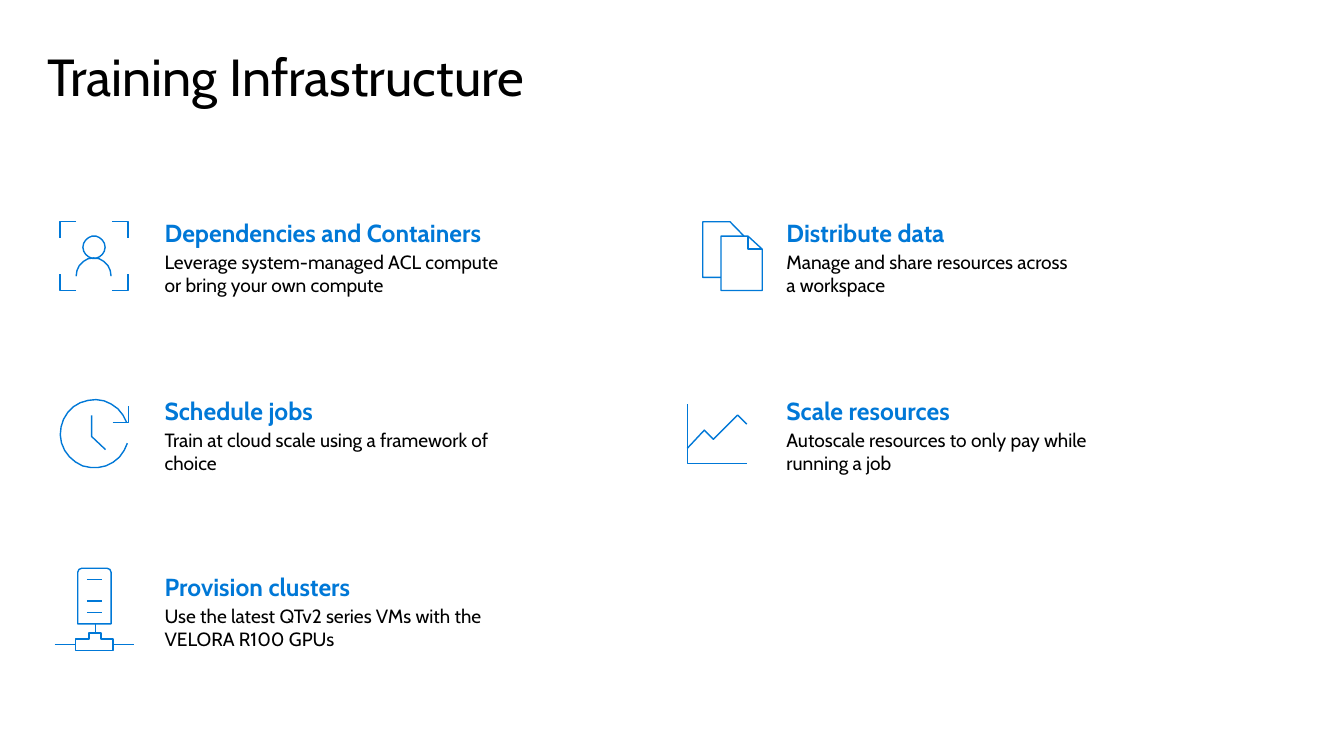
"""Build the Training Infrastructure slide with five outlined icons and captions."""
from dataclasses import dataclass
from math import cos, radians, sin

from pptx import Presentation
from pptx import util as u
from pptx.dml.color import RGBColor
from pptx.enum import text
from pptx.slide import Slide
from pptx.text.text import Font

Point = tuple[float, float]


@dataclass(frozen=True)
class Theme:
    """Colours, font and type sizes."""
    font: str = "Cabin"
    ink: str = "000000"
    accent: str = "0078D7"
    title_size: float = 37.2
    heading_size: float = 17.6
    body_size: float = 13.7
    stroke: float = 1


@dataclass(frozen=True)
class Stroke:
    """One contour of an icon, in hundredths of a centimetre."""
    points: list[Point]
    closed: bool = False


@dataclass(frozen=True)
class Topic:
    """An icon with its caption; lengths are centimetres."""
    heading: str
    body: str
    caption_left: float
    caption_top: float
    icon_left: float
    icon_top: float
    icon: list[Stroke]
    caption_width: float = 8.79


THEME = Theme()
LEFT, RIGHT = 3.9, 19.57
ROWS = (5.37, 9.86, 14.29)
CAPTION_HEIGHT = 2.26


def arc(x: float, y: float, rx: float, ry: float,
        start: int, end: int, pieces: int) -> list[Point]:
    """Return points along an elliptical arc split into equal pieces."""
    angles = [radians(start + (end - start) * i / pieces) for i in range(pieces + 1)]
    return [(x + rx * cos(a), y + ry * sin(a)) for a in angles]


def bracket(x: int, y: int, dx: int, dy: int) -> Stroke:
    """Return a corner mark whose arms run along dx and dy."""
    return Stroke([(x + dx, y), (x, y), (x, y + dy)])


def bar(left: int, right: int, y: int) -> Stroke:
    """Return a horizontal line."""
    return Stroke([(left, y), (right, y)])


PERSON = [
    *(bracket(x, y, 41 if x == 0 else -41, 41 if y == 0 else -41)
      for x in (0, 172) for y in (0, 173)),
    Stroke(arc(86, 64, 28, 28, 0, 340, 17), closed=True),
    Stroke(arc(85, 137, 44, 46, 180, 360, 10)),
]
CLOCK = [
    Stroke([(114, 127), (79, 94), (79, 41)]),
    Stroke([(132, 58), (172, 58), (172, 18)]),
    Stroke(arc(86, 87, 86, 86, -20, -344, 24)),
]
SERVER = [
    Stroke([(53, 208), (53, 178), (86, 178), (86, 163), (117, 163),
            (117, 178), (147, 178), (147, 208)], closed=True),
    bar(0, 53, 192),
    bar(147, 201, 192),
    Stroke([(102, 163), (102, 140)]),
    Stroke([(58, 140), *arc(68, 10, 10, 10, 180, 270, 2),
            *arc(132, 10, 10, 10, 270, 360, 2), (142, 140)], closed=True),
    *(bar(81, 119, y) for y in (28, 83, 111)),
]
PAGES = [
    Stroke([(150, 69), (114, 69), (114, 36)]),
    Stroke([(150, 69), (114, 36), (46, 36), (46, 173), (150, 173)], closed=True),
    Stroke([(104, 36), (69, 0), (0, 0), (0, 140), (46, 140)]),
]
TREND = [
    Stroke([(150, 150), (0, 150), (0, 0)]),
    Stroke([(150, 51), (127, 28), (66, 89), (43, 66), (0, 112)]),
]

TOPICS = [
    Topic("Dependencies and Containers",
          "Leverage system-managed ACL compute or bring your own compute",
          LEFT, ROWS[0], 1.51, 5.59, PERSON, caption_width=9.27),
    Topic("Schedule jobs", "Train at cloud scale using a framework of choice",
          LEFT, ROWS[1], 1.52, 10.06, CLOCK),
    Topic("Provision clusters",
          "Use the latest QTv2 series VMs with the VELORA R100 GPUs",
          LEFT, ROWS[2], 1.38, 14.32, SERVER),
    Topic("Distribute data", "Manage and share resources across\va workspace",
          RIGHT, ROWS[0], 17.71, 5.59, PAGES),
    Topic("Scale resources", "Autoscale resources to only pay while running a job",
          RIGHT, ROWS[1], 17.32, 10.18, TREND),
]


def style(font: Font, size: float, color: str, bold: bool = False) -> None:
    """Apply the theme font with the given size, colour and weight."""
    font.name, font.size, font.bold = THEME.font, u.Pt(size), bold
    font.color.rgb = RGBColor.from_string(color)


def draw_title(slide: Slide, wording: str) -> None:
    """Place and format the title placeholder."""
    title = slide.shapes.title
    title.left, title.top = u.Cm(1.19), u.Cm(0.84)
    title.width, title.height = u.Cm(31.5), u.Cm(2.11)
    frame = title.text_frame
    frame.text = wording
    frame.margin_left = frame.margin_right = frame.margin_bottom = 0
    frame.margin_top = u.Cm(0.46)
    frame.vertical_anchor = text.MSO_ANCHOR.TOP
    frame.auto_size = text.MSO_AUTO_SIZE.NONE
    paragraph = frame.paragraphs[0]
    paragraph.alignment = text.PP_ALIGN.LEFT
    paragraph.line_spacing = 0.9
    style(paragraph.font, THEME.title_size, THEME.ink)


def draw_icon(slide: Slide, topic: Topic) -> None:
    """Draw all strokes of a topic's icon as one outline."""
    first, *others = topic.icon
    outline = slide.shapes.build_freeform(*first.points[0], scale=u.Cm(0.01))
    outline.add_line_segments(first.points[1:], close=first.closed)
    for stroke in others:
        outline.move_to(*stroke.points[0])
        outline.add_line_segments(stroke.points[1:], close=stroke.closed)
    icon = outline.convert_to_shape(u.Cm(topic.icon_left), u.Cm(topic.icon_top))
    icon.shadow.inherit = False
    icon.fill.background()
    icon.line.color.rgb = RGBColor.from_string(THEME.accent)
    icon.line.width = u.Pt(THEME.stroke)


def draw_caption(slide: Slide, topic: Topic) -> None:
    """Write a topic's heading and description."""
    frame = slide.shapes.add_textbox(
        u.Cm(topic.caption_left), u.Cm(topic.caption_top),
        u.Cm(topic.caption_width), u.Cm(CAPTION_HEIGHT)).text_frame
    frame.word_wrap = True
    frame.auto_size = text.MSO_AUTO_SIZE.SHAPE_TO_FIT_TEXT
    heading, body = frame.paragraphs[0], frame.add_paragraph()
    heading.text, body.text = topic.heading, topic.body
    heading.space_after = u.Pt(2)
    style(heading.font, THEME.heading_size, THEME.accent, bold=True)
    style(body.font, THEME.body_size, THEME.ink)


def main() -> None:
    """Build and save the presentation."""
    deck = Presentation()
    deck.slide_width, deck.slide_height = u.Cm(33.87), u.Cm(19.05)
    slide = deck.slides.add_slide(deck.slide_layouts.get_by_name("Title Only"))
    draw_title(slide, "Training Infrastructure")
    for topic in TOPICS:
        draw_icon(slide, topic)
        draw_caption(slide, topic)
    deck.save("out.pptx")


if __name__ == "__main__":
    main()
